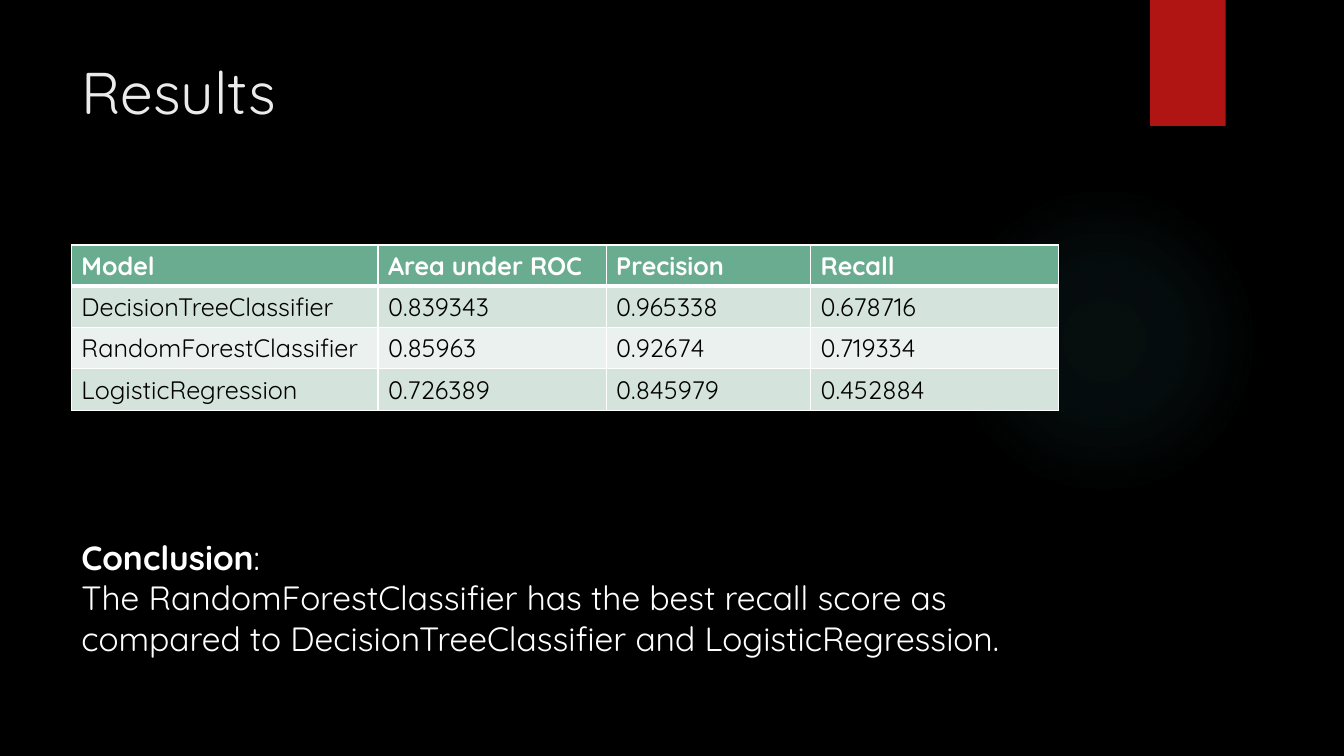
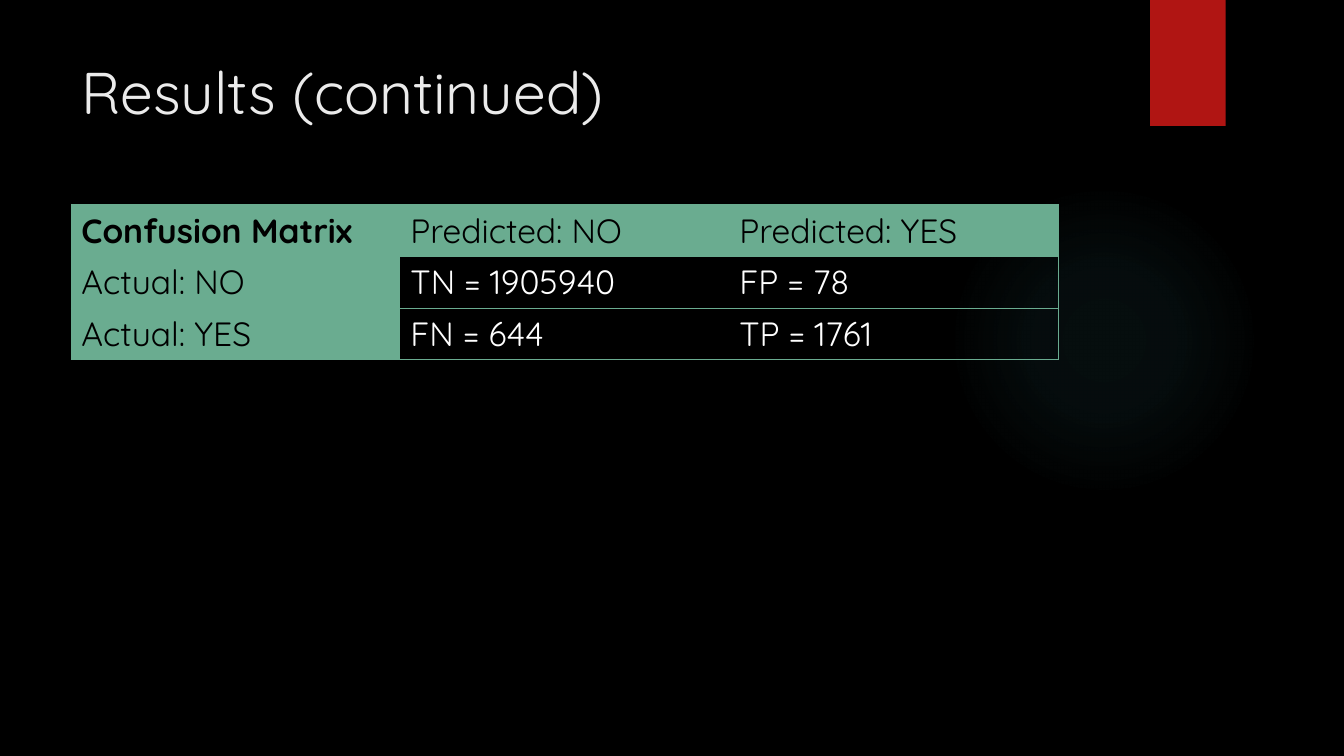
from lxml.etree import SubElement
from pptx import Presentation
from pptx.dml.color import RGBColor
from pptx.enum.shapes import MSO_SHAPE
from pptx.oxml import parse_xml
from pptx.oxml.ns import nsdecls, qn
from pptx.util import Pt

BLACK = RGBColor(0x00, 0x00, 0x00)
WHITE = RGBColor(0xFF, 0xFF, 0xFF)
OFF_WHITE = RGBColor(0xEB, 0xEB, 0xEB)
RED = RGBColor(0xB0, 0x15, 0x13)
TEAL = RGBColor(0x50, 0xB9, 0xC1)
GREEN = RGBColor(0x6A, 0xAC, 0x90)
GREEN_BAND = RGBColor(0xD4, 0xE3, 0xDB)
PALE_BAND = RGBColor(0xEB, 0xF1, 0xEE)

FONT = "Quicksand"
LEFT = 51
PLAIN_TABLE = "{2D5ABB26-0587-4C30-8999-92F81FD0307C}"
GLOW_STOPS = ((0, 7), (36, 6), (69, 0))

SCORES = (
    ("Model", "Area under ROC", "Precision", "Recall"),
    ("DecisionTreeClassifier", "0.839343", "0.965338", "0.678716"),
    ("RandomForestClassifier", "0.85963", "0.92674", "0.719334"),
    ("LogisticRegression", "0.726389", "0.845979", "0.452884"),
)
CONFUSION = (
    ("Confusion Matrix", "Predicted: NO", "Predicted: YES"),
    ("Actual: NO", "TN = 1905940", "FP = 78"),
    ("Actual: YES", "FN = 644", "TP = 1761"),
)


def score_style(row, column):
    edges = {side: (WHITE, 1) for side in "LRTB"}
    if row == 0:
        edges["B"] = (WHITE, 3)
        return GREEN, WHITE, True, edges
    if row == 1:
        edges["T"] = (WHITE, 3)
    return (GREEN_BAND if row % 2 else PALE_BAND), BLACK, False, edges


def confusion_style(row, column):
    sides = "TB" + {0: "L", 2: "R"}.get(column, "")
    edges = {side: (GREEN, 0.75) for side in sides}
    if row == 0 or column == 0:
        return GREEN, BLACK, row == column, edges
    return None, WHITE, False, edges


class Deck:
    def __init__(self):
        self.presentation = Presentation()
        self.presentation.slide_width = Pt(960)
        self.presentation.slide_height = Pt(540)
        self.slide = None

    def add_slide(self, title):
        self.slide = self.presentation.slides.add_slide(self.presentation.slide_layouts[6])
        background = self.slide.background.fill
        background.solid()
        background.fore_color.rgb = BLACK
        self.add_glow()
        self.add_ribbon()
        self.add_text(36, 741, 110, [[(title, False)]], 42, OFF_WHITE)

    def add_plain_shape(self, preset, left, top, width, height):
        shape = self.slide.shapes.add_shape(preset, Pt(left), Pt(top), Pt(width), Pt(height))
        shape.shadow.inherit = False
        shape.line.fill.background()
        return shape

    def add_glow(self):
        glow = self.add_plain_shape(MSO_SHAPE.OVAL, 677.5, 132, 222, 222)
        stops = "".join(
            f'<a:gs pos="{position * 1000}"><a:srgbClr val="{TEAL}">'
            f'<a:alpha val="{opacity * 1000}"/></a:srgbClr></a:gs>'
            for position, opacity in GLOW_STOPS
        )
        gradient = parse_xml(
            f'<a:gradFill {nsdecls("a")}><a:gsLst>{stops}</a:gsLst><a:path path="circle">'
            '<a:fillToRect l="50000" t="50000" r="50000" b="50000"/></a:path></a:gradFill>'
        )
        glow._element.spPr.find(qn("a:prstGeom")).addnext(gradient)

    def add_ribbon(self):
        ribbon = self.add_plain_shape(MSO_SHAPE.RECTANGLE, 821.5, 0, 54, 90)
        ribbon.fill.solid()
        ribbon.fill.fore_color.rgb = RED

    def style_run(self, run, size, color, bold):
        run.font.name = FONT
        run.font.size = Pt(size)
        run.font.color.rgb = color
        run.font.bold = bold

    def add_text(self, top, width, height, paragraphs, size, color):
        box = self.slide.shapes.add_textbox(Pt(LEFT), Pt(top), Pt(width), Pt(height))
        frame = box.text_frame
        frame.word_wrap = True
        for index, pieces in enumerate(paragraphs):
            paragraph = frame.add_paragraph() if index else frame.paragraphs[0]
            for text, bold in pieces:
                run = paragraph.add_run()
                run.text = text
                self.style_run(run, size, color, bold)

    def add_borders(self, cell, edges):
        properties = cell._tc.get_or_add_tcPr()
        for side in "LRTB":
            color, width = edges.get(side, (None, 0))
            line = SubElement(properties, qn(f"a:ln{side}"), w=str(int(Pt(width))))
            if color is None:
                SubElement(line, qn("a:noFill"))
            else:
                paint = SubElement(line, qn("a:solidFill"))
                SubElement(paint, qn("a:srgbClr"), val=str(color))

    def add_table(self, top, widths, row_height, rows, size, style):
        frame = self.slide.shapes.add_table(
            len(rows), len(widths), Pt(LEFT), Pt(top), Pt(sum(widths)), Pt(row_height * len(rows))
        )
        table = frame.table
        table.horz_banding = False
        table._tbl.tblPr.find(qn("a:tableStyleId")).text = PLAIN_TABLE
        for column, width in zip(table.columns, widths):
            column.width = Pt(width)
        for row, texts in enumerate(rows):
            table.rows[row].height = Pt(row_height)
            for column, text in enumerate(texts):
                cell = table.cell(row, column)
                fill, color, bold, edges = style(row, column)
                self.add_borders(cell, edges)
                if fill is None:
                    cell.fill.background()
                else:
                    cell.fill.solid()
                    cell.fill.fore_color.rgb = fill
                cell.text_frame.text = text
                self.style_run(cell.text_frame.paragraphs[0].runs[0], size, color, bold)


def main():
    deck = Deck()

    deck.add_slide("Results")
    deck.add_table(175, (219, 163, 146, 177), 29.5, SCORES, 18, score_style)
    conclusion = [
        [("Conclusion", True), (":", False)],
        [("The RandomForestClassifier has the best recall score as compared to "
          "DecisionTreeClassifier and LogisticRegression.", False)],
    ]
    deck.add_text(380, 705, 94, conclusion, 24, WHITE)

    deck.add_slide("Results (continued)")
    deck.add_table(146, (235,) * 3, 37, CONFUSION, 24, confusion_style)

    deck.presentation.save("out.pptx")


if __name__ == "__main__":
    main()
